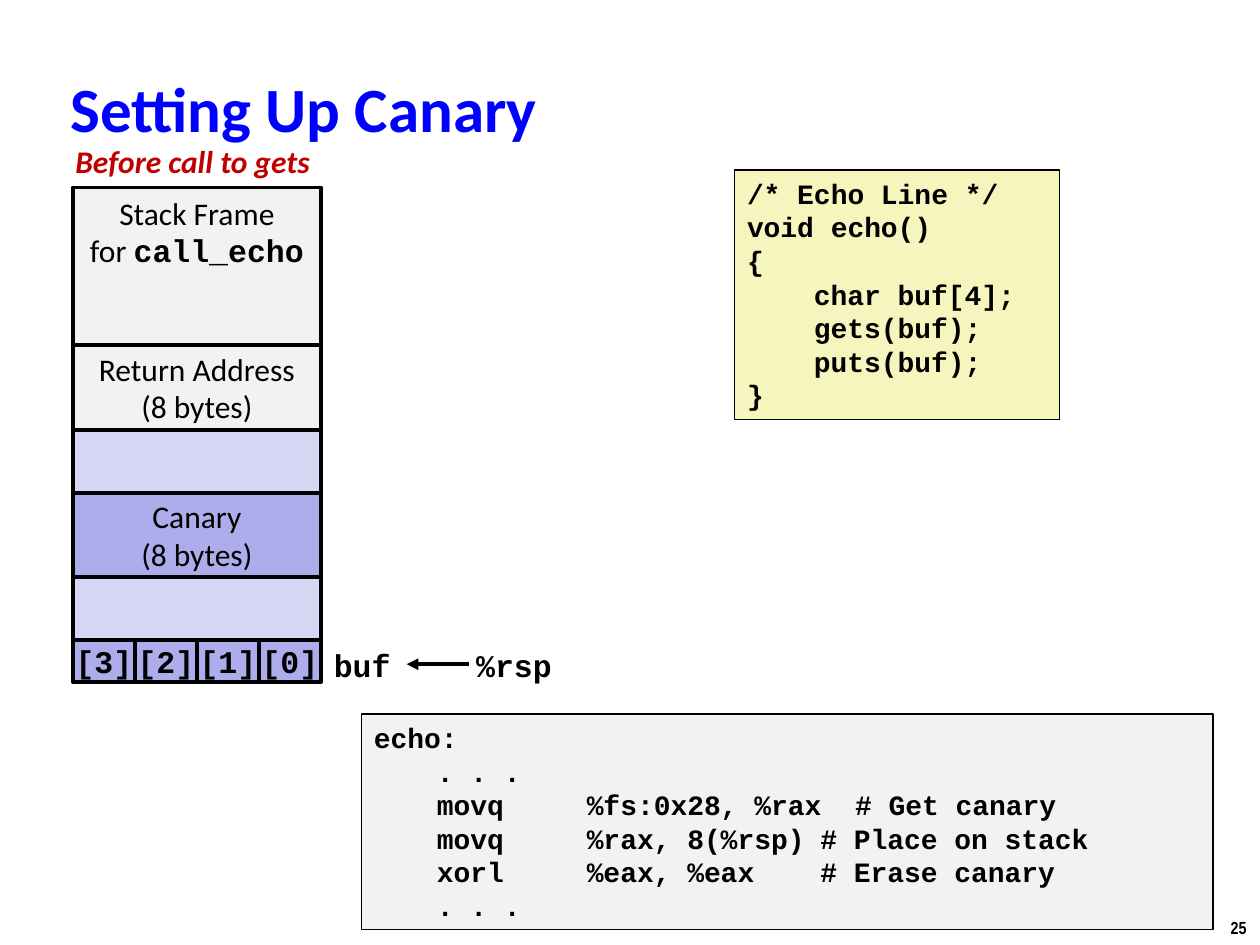
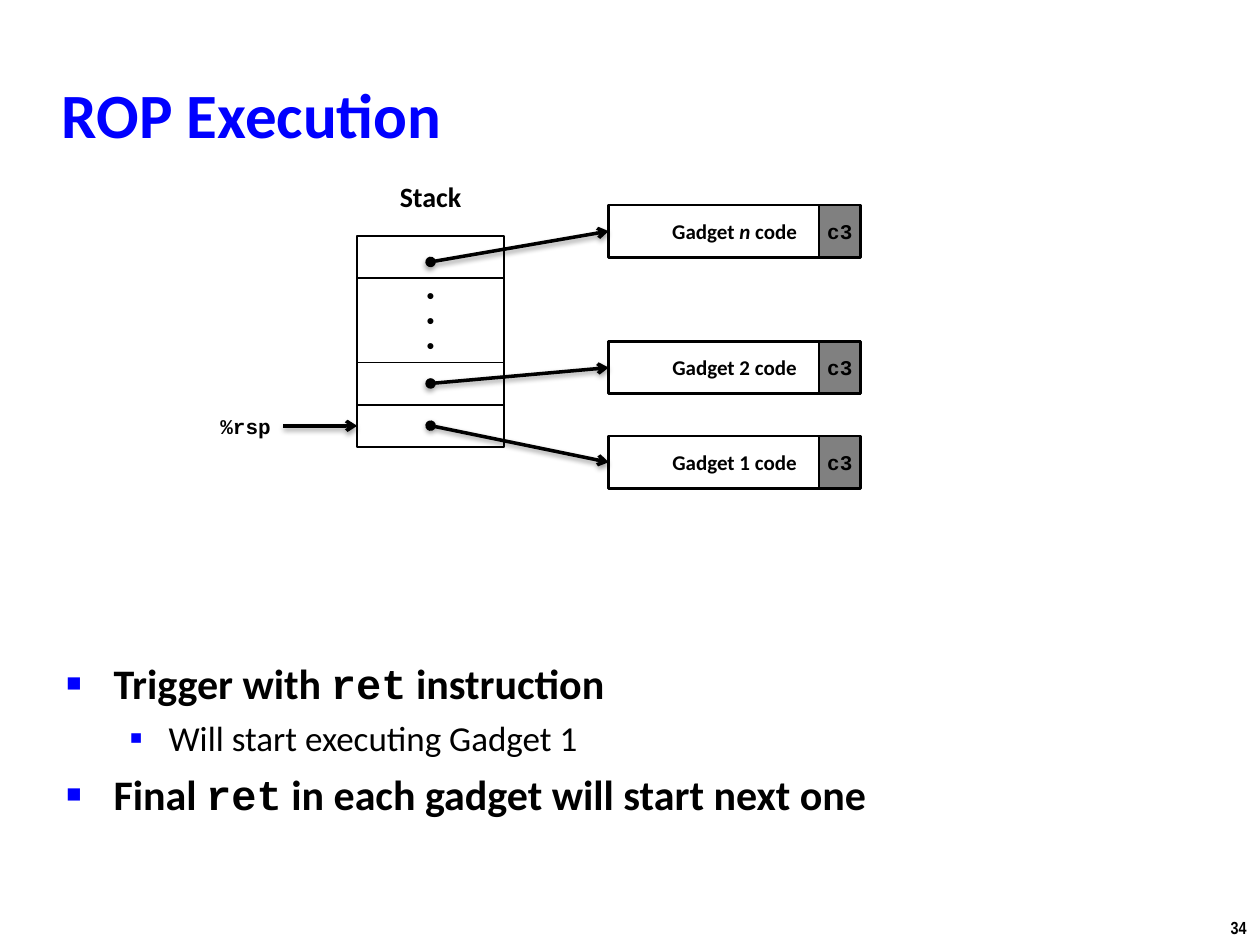
import lxml.etree
import pptx
import pptx.dml.color
import pptx.enum.shapes
import pptx.enum.text
import pptx.oxml.ns
import pptx.util

Cm = pptx.util.Cm
Pt = pptx.util.Pt
RGBColor = pptx.dml.color.RGBColor
Align = pptx.enum.text.PP_ALIGN
Anchor = pptx.enum.text.MSO_ANCHOR

BLACK = RGBColor(0x00, 0x00, 0x00)
BLUE = RGBColor(0x00, 0x00, 0xFF)
RED = RGBColor(0xC0, 0x00, 0x00)
PALE = RGBColor(0xF2, 0xF2, 0xF2)
CREAM = RGBColor(0xF6, 0xF5, 0xBD)
LILAC = RGBColor(0xD6, 0xD6, 0xF5)
VIOLET = RGBColor(0xAD, 0xAD, 0xEB)
GRAY = RGBColor(0x80, 0x80, 0x80)

SANS = "Calibri"
MONO = "Courier New"
CODE = {"name": MONO, "bold": True}


def add(parent, tag, **attrs):
    node = lxml.etree.SubElement(parent, pptx.oxml.ns.qn("a:" + tag))
    for key, value in attrs.items():
        node.set(key, str(value))
    return node


def style(font, color=None, size=None, name=None, bold=None, italic=None):
    if color is not None:
        font.color.rgb = color
    if size is not None:
        font.size = Pt(size)
    if name is not None:
        font.name = name
    if bold is not None:
        font.bold = bold
    if italic is not None:
        font.italic = italic


class Deck:
    def __init__(self):
        self.file = pptx.Presentation()
        self.file.slide_width = Cm(25.4)
        self.file.slide_height = Cm(19.05)
        self.slide = None

    def start(self, title, box, number):
        layout = self.file.slide_layouts.get_by_name("Title Only")
        self.slide = self.file.slides.add_slide(layout)
        head = self.slide.shapes.title
        head.left, head.top, head.width, head.height = map(Cm, box)
        self.text(head, [title], size=36, color=BLUE, bold=True, anchor=Anchor.MIDDLE, wrap=True)
        self.label([number], (24.56, 18.36, 0.86, 0.69), size=10, name="Arial Narrow", bold=True)

    def text(self, shape, lines, align=Align.LEFT, anchor=Anchor.TOP, wrap=False,
             stops=(), size=18, color=BLACK, name=SANS, **traits):
        frame = shape.text_frame
        frame.word_wrap = wrap
        frame.auto_size = pptx.enum.text.MSO_AUTO_SIZE.NONE
        frame.vertical_anchor = anchor
        for index, line in enumerate(lines):
            para = frame.paragraphs[0] if index == 0 else frame.add_paragraph()
            para.alignment = align
            if stops:
                tabs = add(para._p.get_or_add_pPr(), "tabLst")
                for stop in stops:
                    add(tabs, "tab", pos=int(Cm(stop)), algn="l")
            style(para.font, color, size, name, **traits)
            self.fill(para, line)

    def fill(self, para, line):
        for piece in [line] if isinstance(line, str) else line:
            text, look = (piece, {}) if isinstance(piece, str) else piece
            run = para.add_run()
            run.text = text
            style(run.font, **look)

    def label(self, lines, box, **look):
        shape = self.slide.shapes.add_textbox(*map(Cm, box))
        self.text(shape, lines, **look)
        return shape

    def box(self, box, fill=None, width=1, lines=(), inset=None, **look):
        kind = pptx.enum.shapes.MSO_SHAPE.RECTANGLE
        shape = self.slide.shapes.add_shape(kind, *map(Cm, box))
        shape.shadow.inherit = False
        if fill is None:
            shape.fill.background()
        else:
            shape.fill.solid()
            shape.fill.fore_color.rgb = fill
        shape.line.color.rgb = BLACK
        shape.line.width = Pt(width)
        if inset is not None:
            shape.text_frame.margin_left = shape.text_frame.margin_right = Cm(inset)
        if lines:
            self.text(shape, lines, **{"align": Align.CENTER, "anchor": Anchor.MIDDLE, **look})
        return shape

    def code(self, lines, box, fill, stops):
        self.box(box, fill, lines=lines, stops=stops, align=Align.LEFT,
                 anchor=Anchor.TOP, size=16, **CODE)

    def arrow(self, start, end, width=2, head=None, tail="arrow", shade=True):
        kind = pptx.enum.shapes.MSO_CONNECTOR.STRAIGHT
        line = self.slide.shapes.add_connector(kind, *map(Cm, start + end))
        line.line.color.rgb = BLACK
        line.line.width = Pt(width)
        props = line.element.spPr
        edge = props.find(pptx.oxml.ns.qn("a:ln"))
        if head:
            add(edge, "headEnd", type=head)
        add(edge, "tailEnd", type=tail)
        effects = add(props, "effectLst")
        if shade:
            cast = add(effects, "outerShdw", blurRad=int(Pt(3.1)), dist=int(Pt(1.6)),
                       dir=5400000, rotWithShape=0)
            add(add(cast, "srgbClr", val=BLACK), "alpha", val=38000)
        return line

    def points(self, items, box):
        levels = [
            {"size": 24, "bold": True, "left": 0.95, "hang": 0.95, "mark": "■", "scale": 60},
            {"size": 20, "bold": False, "left": 2.06, "hang": 0.79, "mark": "▪", "scale": 110},
        ]
        shape = self.label([line for _, line in items], box, wrap=True)
        for para, (depth, _) in zip(shape.text_frame.paragraphs, items):
            level = levels[depth]
            para.level = depth
            para.space_before = Pt(level["size"] * 0.24)
            style(para.font, size=level["size"], bold=level["bold"])
            props = para._p.get_or_add_pPr()
            props.set("marL", str(int(Cm(level["left"]))))
            props.set("indent", str(-int(Cm(level["hang"]))))
            last = props.find(pptx.oxml.ns.qn("a:defRPr"))
            add(add(props, "buClr"), "srgbClr", val=BLUE)
            add(props, "buSzPct", val=level["scale"] * 1000)
            add(props, "buFont", typeface="Arial")
            add(props, "buChar", char=level["mark"])
            props.append(last)


def canary(deck):
    deck.start("Setting Up Canary", (1.17, 1.37, 18.03, 1.6), "25")
    deck.code(
        ["echo:", "\t. . .", "\tmovq\t%fs:0x28, %rax\t# Get canary",
         "\tmovq\t%rax, 8(%rsp)\t# Place on stack", "\txorl\t%eax, %eax\t# Erase canary", "\t. . ."],
        (7.29, 14.4, 17.17, 4.34), PALE, (1.27, 4.29, 9.0, 9.7))
    deck.code(
        ["/* Echo Line */", "void echo()", "{", "\tchar buf[4];", "\tgets(buf);", "\tputs(buf);", "}"],
        (14.81, 3.43, 6.55, 5.03), CREAM, (1.35,))

    left, wide, cell = 1.47, 5, 1.25
    rows = [
        (3.78, 3.18, PALE, ["Stack Frame", ["for ", ("call_echo", CODE)]], Anchor.TOP),
        (6.96, 1.7, PALE, ["Return Address", "(8 bytes)"], Anchor.MIDDLE),
        (8.66, 4.24, LILAC, [], Anchor.MIDDLE),
        (9.94, 1.7, VIOLET, ["Canary", "(8 bytes)"], Anchor.MIDDLE),
    ]
    for top, height, fill, lines, anchor in rows:
        deck.box((left, top, wide, height), fill, 2.25, lines, anchor=anchor)
    base = 12.9
    for index in range(4):
        deck.box((left + index * cell, base, cell, 0.85), VIOLET, 2.25, [f"[{3 - index}]"], **CODE)

    deck.label(["Before call to gets"], (1.27, 2.74, 5.31, 1.02), color=RED, bold=True, italic=True)
    deck.label(["buf"], (6.48, base, 1.65, 1.02), **CODE)
    deck.label(["%rsp"], (9.35, base, 2.06, 1.02), **CODE)
    deck.arrow((9.45, 13.39), (8.2, 13.39), 2.25, tail="triangle", shade=False)


def gadgets(deck):
    deck.start("ROP Execution", (0.99, 1.22, 21.08, 2.11), "34")
    ret = ("ret", {"name": MONO})
    deck.points([
        (0, ["Trigger with ", ret, " instruction"]),
        (1, "Will start executing Gadget 1"),
        (0, ["Final ", ret, " in each gadget will start next one"]),
    ], (1.09, 13.13, 21.95, 4.47))

    left, wide, unit = 7.2, 2.96, 0.85
    deck.label(["Stack"], (left, 3.5, wide, 0.94), align=Align.CENTER, size=16, bold=True)
    top = 4.76
    for count in (1, 2, 1, 1):
        dots = ["•"] * 3 if count == 2 else []
        slot = deck.box((left, top, wide, count * unit), lines=dots, size=12, name="Arial", bold=True)
        top += count * unit

    rows = [
        (8.79, 8.58, "Gadget 1 code"),
        (6.88, 7.73, "Gadget 2 code"),
        (4.13, 5.28, ["Gadget ", ("n", {"italic": True}), " code"]),
    ]
    for top, dot, text in rows:
        deck.box((16.51, top, 0.84, 1.06), GRAY, lines=["c3"], inset=0, size=12, **CODE)
        code = deck.box((12.27, top, 5.08, 1.06), width=1.5, lines=[text], size=12, bold=True)
        link = deck.arrow((left + wide / 2, dot), (12.27, top + 0.53), head="oval")
        link.end_connect(code, 1)

    name = deck.label(["%rsp"], (2.74, 8.16, 2.97, unit), align=Align.RIGHT,
                      anchor=Anchor.MIDDLE, wrap=True, size=12, **CODE)
    link = deck.arrow((5.71, 8.58), (left, 8.58))
    link.begin_connect(name, 3)
    link.end_connect(slot, 1)


def main():
    deck = Deck()
    canary(deck)
    gadgets(deck)
    deck.file.save("out.pptx")


if __name__ == "__main__":
    main()
